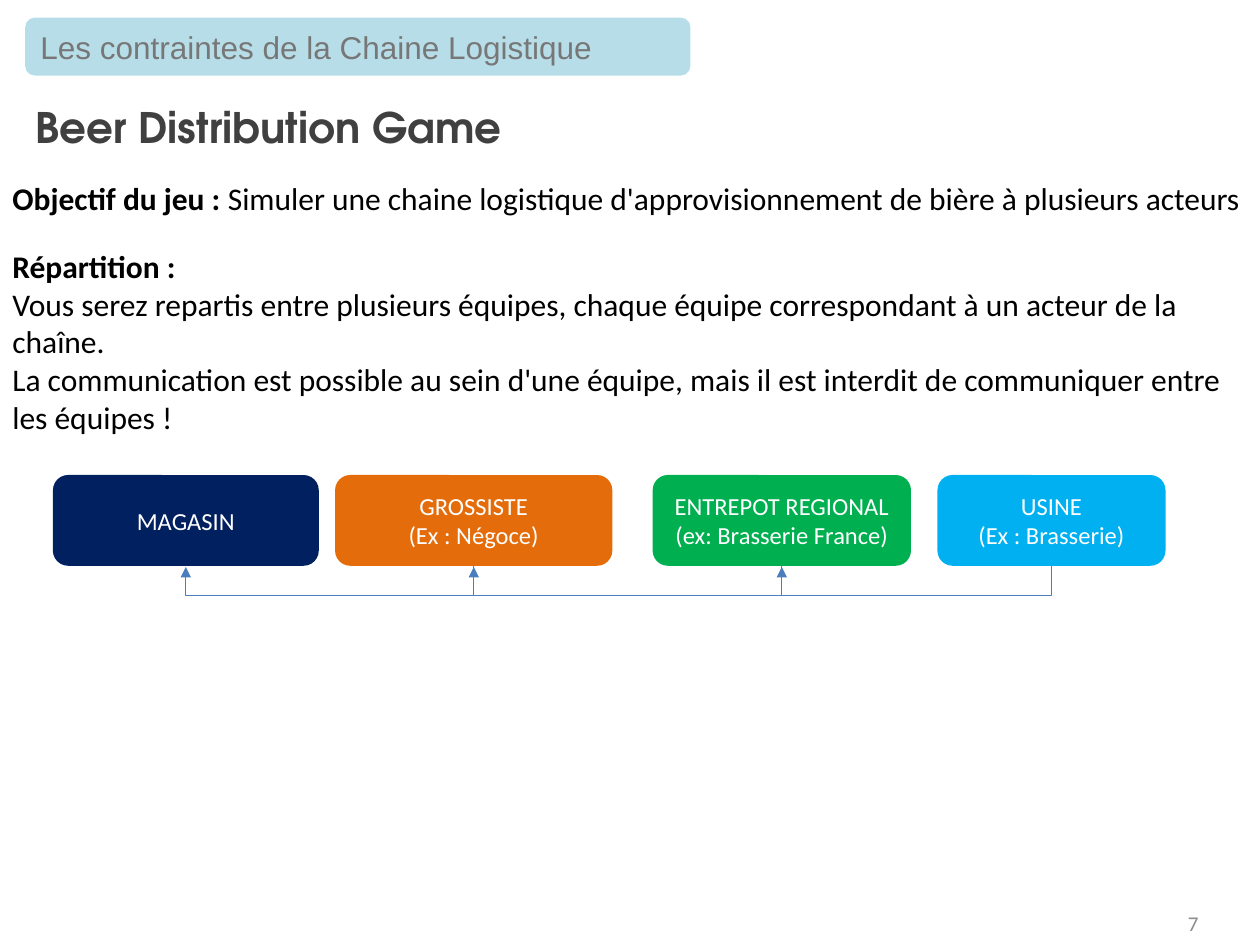
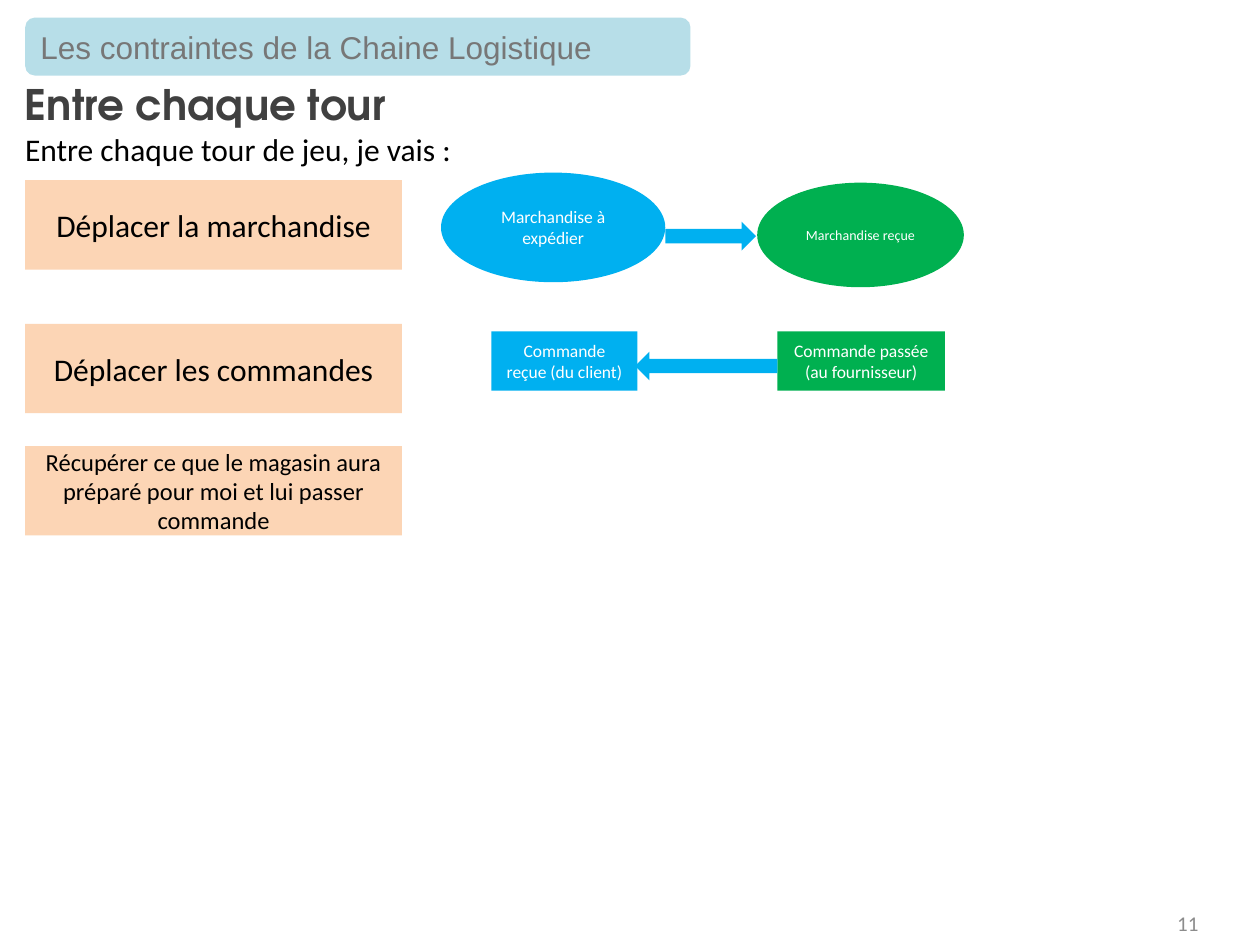
from pptx import Presentation
from pptx.dml.color import RGBColor
from pptx.enum.shapes import MSO_CONNECTOR, MSO_SHAPE as SHAPE
from pptx.enum.text import MSO_ANCHOR as ANCHOR, PP_ALIGN as ALIGN
from pptx.util import Inches, Pt
from lxml import etree
from pptx.oxml.ns import qn

WHITE = RGBColor(0xFF, 0xFF, 0xFF)
BLACK = RGBColor(0x00, 0x00, 0x00)
TITLE_GREY = RGBColor(0x40, 0x40, 0x40)
BAND_GREY = RGBColor(0x77, 0x77, 0x77)
NUMBER_GREY = RGBColor(0x8C, 0x8C, 0x8C)
BAND_BLUE = RGBColor(0xB7, 0xDE, 0xE8)
NAVY = RGBColor(0x00, 0x20, 0x60)
ORANGE = RGBColor(0xE4, 0x6C, 0x0A)
GREEN = RGBColor(0x00, 0xB0, 0x50)
SKY = RGBColor(0x00, 0xB0, 0xF0)
PEACH = RGBColor(0xFC, 0xD5, 0xB5)
LINE_BLUE = RGBColor(0x4B, 0x7E, 0xBC)


def write(sp, text, size, color=BLACK, font="Calibri", align=ALIGN.LEFT, anchor=ANCHOR.TOP):
    tf = sp.text_frame
    tf.word_wrap = True
    tf.vertical_anchor = anchor
    tf.text = text
    for p in tf.paragraphs:
        p.alignment = align
        for r in p.runs:
            r.font.size = Pt(size)
            r.font.name = font
            r.font.color.rgb = color
    return tf


def add_box(s, kind, at, fill, text="", size=18, color=WHITE):
    sp = s.shapes.add_shape(kind, *map(Inches, at))
    sp.shadow.inherit = False
    sp.fill.solid()
    sp.fill.fore_color.rgb = fill
    sp.line.fill.background()
    if text:
        write(sp, text, size, color, align=ALIGN.CENTER, anchor=ANCHOR.MIDDLE)
    return sp


prs = Presentation()
prs.slide_width = Inches(10)
prs.slide_height = Inches(7.5)

slides = []
for title, number, x, y in [
    ("Beer Distribution Game", "7", 0.18, 0.76),
    ("Entre chaque tour", "11", 0.1, 0.57),
]:
    s = prs.slides.add_slide(prs.slide_layouts[6])
    slides.append(s)
    tb = s.shapes.add_textbox(Inches(x), Inches(y), Inches(7.4), Inches(1.02))
    tf = write(tb, title, 24, TITLE_GREY, "TeX Gyre Adventor")
    tf.paragraphs[0].runs[0].font.bold = True
    tb = s.shapes.add_textbox(Inches(7.28), Inches(7.13), Inches(2.33), Inches(0.4))
    write(tb, number, 12, NUMBER_GREY, align=ALIGN.RIGHT, anchor=ANCHOR.MIDDLE)
    band = add_box(s, SHAPE.ROUNDED_RECTANGLE, (0.2, 0.14, 5.28, 0.46), BAND_BLUE)
    write(band, "Les contraintes de la Chaine Logistique", 18, BAND_GREY, "Arial",
          anchor=ANCHOR.MIDDLE)

game, turn = slides

tb = game.shapes.add_textbox(0, Inches(1.37), Inches(10), Inches(0.4))
tf = write(tb, "Objectif du jeu : ", 18)
p = tf.paragraphs[0]
p.runs[0].font.bold = True
r = p.add_run()
r.text = "Simuler une chaine logistique d'approvisionnement de bière à plusieurs acteurs"
r.font.size = Pt(18)
r.font.name = "Calibri"
r.font.color.rgb = BLACK

tb = game.shapes.add_textbox(0, Inches(1.91), Inches(10), Inches(2.22))
tf = write(tb, "Répartition :\n"
           "Vous serez repartis entre plusieurs équipes, chaque équipe correspondant "
           "à un acteur de la chaîne.\n"
           "La communication est possible au sein d'une équipe, mais il est interdit "
           "de communiquer entre les équipes !", 18)
tf.paragraphs[0].runs[0].font.bold = True

actors = []
for x, w, fill, text in [
    (0.42, 2.11, NAVY, "MAGASIN"),
    (2.66, 2.2, ORANGE, "GROSSISTE\n(Ex : Négoce)"),
    (5.18, 2.05, GREEN, "ENTREPOT REGIONAL\n(ex: Brasserie France)"),
    (7.44, 1.81, SKY, "USINE\n(Ex : Brasserie)"),
]:
    actors.append(add_box(game, SHAPE.ROUNDED_RECTANGLE, (x, 3.77, w, 0.72), fill, text, 14))

drop, depth = Inches(0.24), Inches(0.01)
for client, supplier in zip(actors, actors[1:]):
    c = game.shapes.add_connector(MSO_CONNECTOR.ELBOW, 0, 0, 0, 0)
    c.begin_connect(supplier, 2)
    c.end_connect(client, 2)
    start = supplier.left + supplier.width // 2
    end = client.left + client.width // 2
    span = start - end
    bottom = client.top + client.height
    c.left, c.top = (start + end - depth) // 2, bottom - (span - depth) // 2
    c.width, c.height = depth, span
    c.line.color.rgb = LINE_BLUE
    c.line.width = Pt(0.75)
    spPr = c._element.spPr
    xfrm = spPr.find(qn("a:xfrm"))
    xfrm.attrib.clear()
    xfrm.set("rot", "5400000")
    guides = spPr.find(qn("a:prstGeom")).get_or_add_avLst()
    etree.SubElement(guides, qn("a:gd"), name="adj1", fmla=f"val {drop * 100000 // depth}")
    etree.SubElement(spPr.find(qn("a:ln")), qn("a:tailEnd"), type="triangle")
    etree.SubElement(spPr, qn("a:effectLst"))

tb = turn.shapes.add_textbox(Inches(0.1), Inches(0.98), Inches(9.52), Inches(0.4))
write(tb, "Entre chaque tour de jeu, je vais :", 18)

for y, text, size in [
    (1.43, "Déplacer la marchandise", 18),
    (2.57, "Déplacer les commandes", 18),
    (3.54, "Récupérer ce que le magasin aura préparé pour moi et lui passer commande", 14),
]:
    add_box(turn, SHAPE.RECTANGLE, (0.2, y, 2.99, 0.71), PEACH, text, size, BLACK)

for kind, at, fill, text, size in [
    (SHAPE.OVAL, (3.5, 1.37, 1.78, 0.87), SKY, "Marchandise à expédier", 10),
    (SHAPE.OVAL, (6.01, 1.45, 1.64, 0.83), GREEN, "Marchandise reçue", 8),
    (SHAPE.RECTANGLE, (3.9, 2.63, 1.16, 0.47), SKY, "Commande reçue (du client)", 10),
    (SHAPE.RECTANGLE, (6.17, 2.63, 1.33, 0.47), GREEN, "Commande passée (au fournisseur)", 10),
]:
    add_box(turn, kind, at, fill, text, size)

add_box(turn, SHAPE.RIGHT_ARROW, (5.28, 1.76, 0.72, 0.23), SKY)
add_box(turn, SHAPE.LEFT_ARROW, (5.04, 2.79, 1.13, 0.23), SKY)

prs.save("out.pptx")
